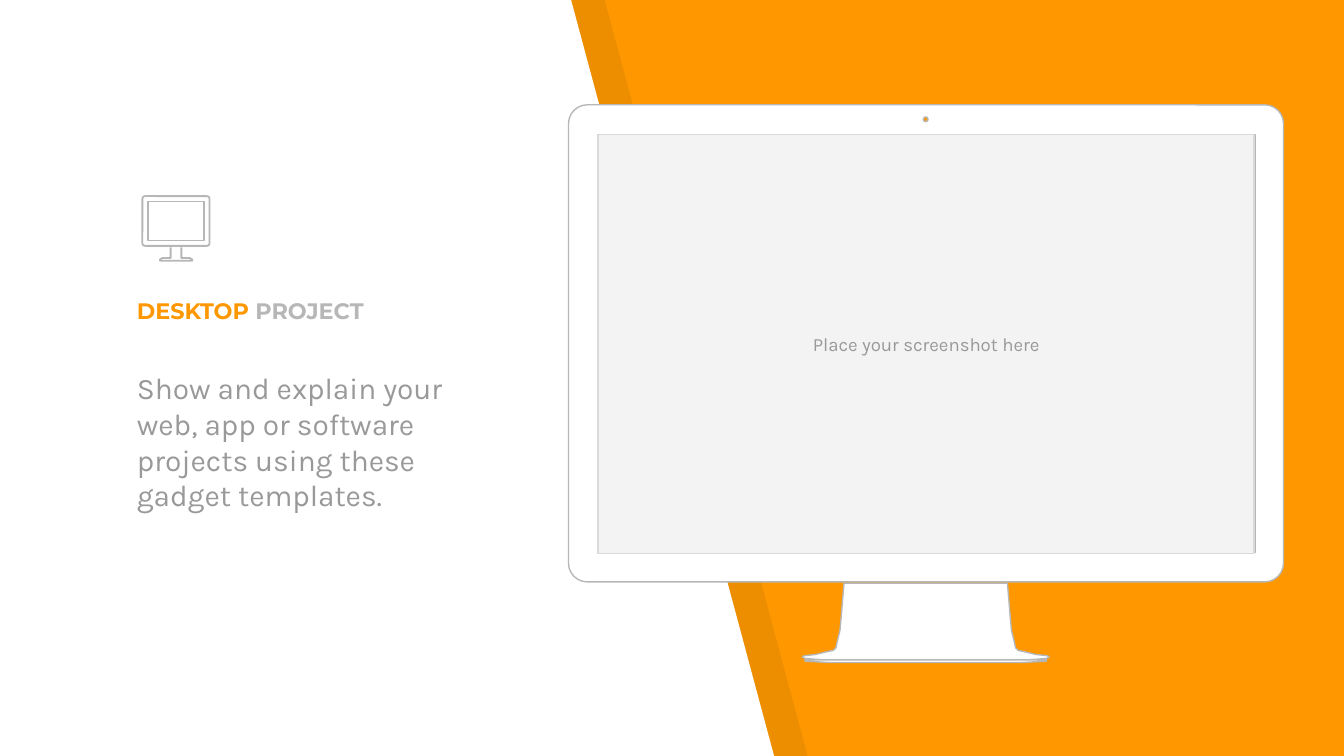
from dataclasses import dataclass

from lxml import etree
from pptx import Presentation
from pptx import util as u
from pptx.dml import color
from pptx.enum import shapes, text
from pptx.oxml import ns

COLUMNS, ROWS = 100, 56.25
CELL = u.Inches(0.1)


@dataclass(frozen=True)
class Theme:
    accent: str = "FF9800"
    paper: str = "FFFFFF"
    shade: str = "000000"
    outline: str = "B7B7B7"
    screen: str = "F3F3F3"
    screen_edge: str = "D9D9D9"
    prose: str = "999999"
    heading_font: str = "Montserrat"
    prose_font: str = "Karla"
    heading_size: int = 12
    prose_size: int = 16
    hint_size: int = 10
    gadget_line: float = 0.75
    icon_line: float = 0.96


THEME = Theme()


def cells(*values):
    return [u.Emu(round(value * CELL)) for value in values]


def rgb(code):
    return color.RGBColor.from_string(code)


def paint(shape, fill=None, line=None, width=THEME.gadget_line, opacity=None):
    shape.shadow.inherit = False
    if fill:
        shape.fill.solid()
        shape.fill.fore_color.rgb = rgb(fill)
    else:
        shape.fill.background()
    if line:
        shape.line.color.rgb = rgb(line)
        shape.line.width = u.Pt(width)
    else:
        shape.line.fill.background()
    if opacity:
        tone = shape.fill._xPr.find(".//" + ns.qn("a:srgbClr"))
        etree.SubElement(tone, ns.qn("a:alpha"), val=str(opacity * 1000))


def add_preset(page, kind, place, radius=None, **style):
    shape = page.shapes.add_shape(kind, *cells(*place))
    if radius:
        shape.adjustments[0] = radius / min(place[2:])
    paint(shape, **style)
    return shape


def add_outline(page, points, closed=True, **style):
    start, *rest = [cells(*point) for point in points]
    builder = page.shapes.build_freeform(*start)
    builder.add_line_segments(rest, close=closed)
    paint(builder.convert_to_shape(), **style)


def mirrored(half, axis):
    return half + [(2 * axis - x, y) for x, y in reversed(half)]


def write(box, spans, size, font, bold=False,
          align=text.PP_ALIGN.LEFT, anchor=text.MSO_ANCHOR.TOP):
    frame = box.text_frame
    frame.word_wrap = True
    frame.vertical_anchor = anchor
    frame.margin_left = frame.margin_right = CELL
    frame.margin_top = frame.margin_bottom = CELL
    para = frame.paragraphs[0]
    para.alignment = align
    for words, tint in spans:
        span = para.add_run()
        span.text = words
        span.font.name = font
        span.font.size = u.Pt(size)
        span.font.bold = bold
        span.font.color.rgb = rgb(tint)


def add_slanted_panel(page):
    for shift, fill, opacity in ((2.5, THEME.shade, 7), (0, THEME.paper, None)):
        corners = [(shift, 0), (shift, ROWS), (57.6 + shift, ROWS), (42.5 + shift, 0)]
        add_outline(page, corners, fill=fill, opacity=opacity)


def add_monitor(page):
    axis = 68.88
    style = dict(fill=THEME.paper, line=THEME.outline)
    neck = [(62.8, 43.4), (62.7, 44.6), (62.6, 45.8), (62.5, 46.9), (62.3, 47.7),
            (62.2, 48.2), (62, 48.4), (61.5, 48.5), (60.7, 48.7), (59.8, 48.8),
            (59.7, 48.9), (59.9, 49), (61.3, 49.1), (63.1, 49.1)]
    base = [(59.9, 49.1), (59.9, 49.2), (61.8, 49.3), (65.4, 49.3)]
    for half in (neck, base):
        add_outline(page, mirrored(half, axis), **style)
    kind = shapes.MSO_SHAPE
    add_preset(page, kind.ROUNDED_RECTANGLE, (42.3, 7.8, 53.2, 35.5), radius=1.4, **style)
    add_preset(page, kind.OVAL, (68.7, 8.7, 0.35, 0.35),
               fill=THEME.accent, line=THEME.outline)
    add_preset(page, kind.RECTANGLE, (44.5, 10, 48.9, 31.1), line=THEME.outline)
    screen = add_preset(page, kind.RECTANGLE, (44.5, 10, 48.8, 31.2),
                        fill=THEME.screen, line=THEME.screen_edge)
    write(screen, [("Place your screenshot here", THEME.prose)], THEME.hint_size,
          THEME.prose_font, align=text.PP_ALIGN.CENTER, anchor=text.MSO_ANCHOR.MIDDLE)


def add_icon(page):
    style = dict(line=THEME.outline, width=THEME.icon_line)
    stand = [(12.7, 18.4), (12.7, 19.2), (12.1, 19.2), (11.9, 19.3), (11.9, 19.4)]
    add_outline(page, mirrored(stand, 13.1), closed=False, **style)
    kind = shapes.MSO_SHAPE
    add_preset(page, kind.ROUNDED_RECTANGLE, (10.6, 14.6, 5, 3.7), radius=0.2, **style)
    add_preset(page, kind.RECTANGLE, (11, 15, 4.2, 2.9), **style)


def add_copy(page):
    heading = page.shapes.add_textbox(*cells(9.2, 19.8, 34.4, 5.3))
    write(heading, [("DESKTOP", THEME.accent), (" PROJECT", THEME.outline)],
          THEME.heading_size, THEME.heading_font, bold=True,
          anchor=text.MSO_ANCHOR.BOTTOM)
    prose = page.shapes.add_textbox(*cells(9.2, 26.5, 25.5, 24.7))
    write(prose, [("Show and explain your web, app or software projects "
                   "using these gadget templates.", THEME.prose)],
          THEME.prose_size, THEME.prose_font)


def main():
    deck = Presentation()
    deck.slide_width, deck.slide_height = cells(COLUMNS, ROWS)
    page = deck.slides.add_slide(deck.slide_layouts[6])
    page.background.fill.solid()
    page.background.fill.fore_color.rgb = rgb(THEME.accent)
    add_slanted_panel(page)
    add_monitor(page)
    add_copy(page)
    add_icon(page)
    deck.save("out.pptx")


main()
